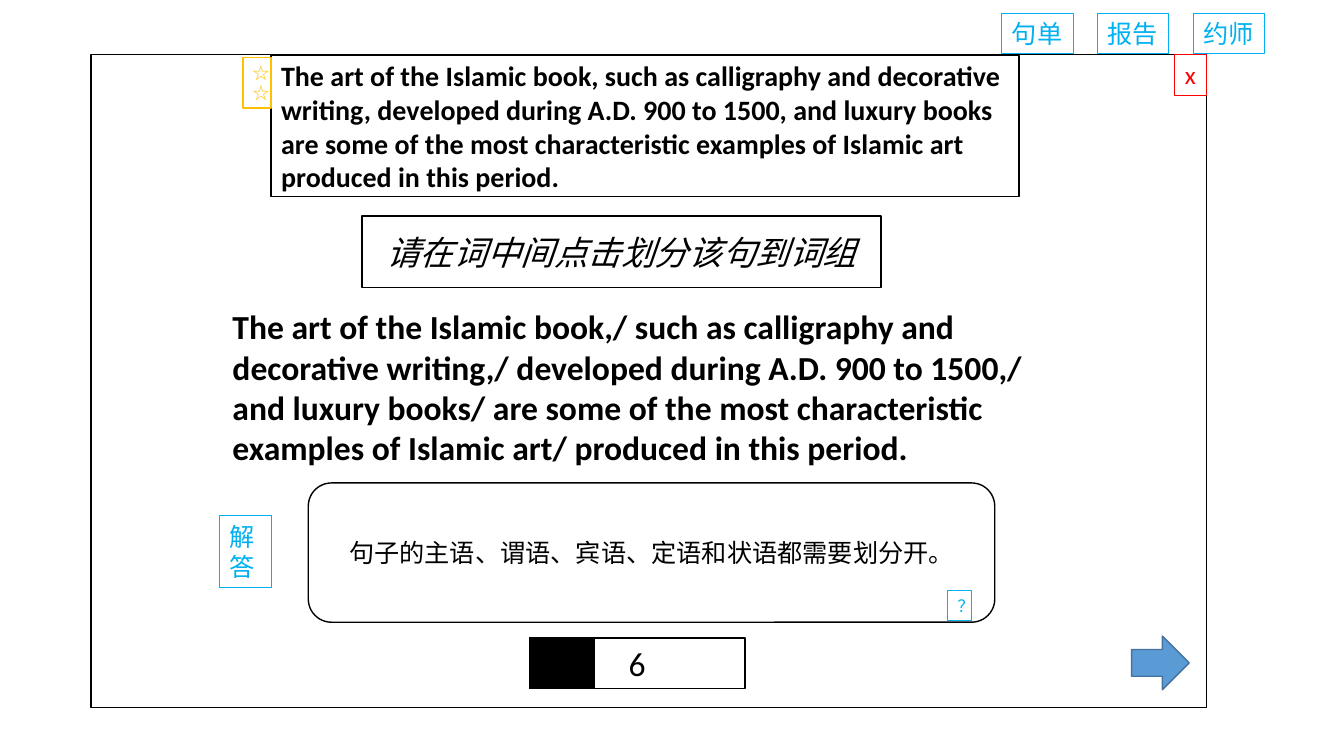
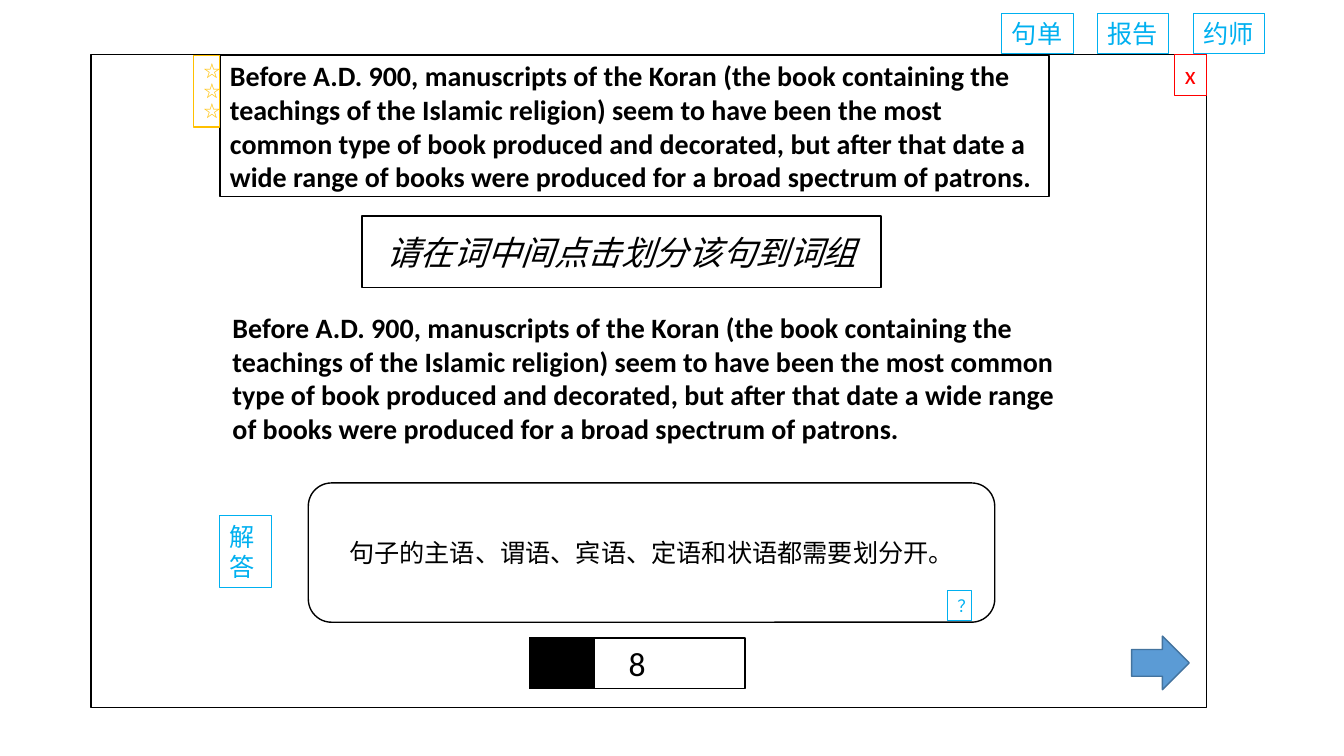
from dataclasses import dataclass

from lxml import etree
from pptx import Presentation
from pptx import util as u
from pptx.dml import color
from pptx.enum import shapes, text
from pptx.oxml import ns


@dataclass(frozen=True)
class Theme:
    black: str = "000000"
    white: str = "FFFFFF"
    link: str = "00B0F0"
    close: str = "FF0000"
    star: str = "FFC000"
    arrow: str = "5B9BD5"
    arrow_line: str = "43739E"
    font: str = "Calibri"
    star_font: str = "Noto Sans CJK SC"
    large: int = 24
    medium: int = 20
    normal: int = 18
    small: int = 12
    thin: float = 0.75
    solid: float = 1


@dataclass(frozen=True)
class Box:
    x: float
    y: float
    w: float
    h: float

    def inside(self, x, y, w, h):
        return Box(self.x + x, self.y + y, w, h)

    def lengths(self):
        return [u.Cm(v) for v in (self.x, self.y, self.w, self.h)]


@dataclass(frozen=True)
class Exercise:
    sentence: str
    divided: str
    divided_size: int
    divided_y: float
    sentence_x: float
    sentence_w: float
    stars: int
    stars_size: tuple
    stars_y: float
    number: str


T = Theme()
FRAME = Box(2.29, 1.37, 28.12, 16.46)
TABS = ("句单", "报告", "约师")
LEFT, CENTER = text.PP_ALIGN.LEFT, text.PP_ALIGN.CENTER
TOP, MIDDLE = text.MSO_ANCHOR.TOP, text.MSO_ANCHOR.MIDDLE
KORAN = (
    "Before A.D. 900, manuscripts of the Koran (the book containing the teachings "
    "of the Islamic religion) seem to have been the most common type of book "
    "produced and decorated, but after that date a wide range of books were "
    "produced for a broad spectrum of patrons."
)
EXERCISES = (
    Exercise(
        sentence="The art of the Islamic book, such as calligraphy and decorative "
        "writing, developed during A.D. 900 to 1500, and luxury books are some of the "
        "most characteristic examples of Islamic art produced in this period.",
        divided="The art of the Islamic book,/ such as calligraphy and decorative "
        "writing,/ developed during A.D. 900 to 1500,/ and luxury books/ are some of "
        "the most characteristic examples of Islamic art/ produced in this period.",
        divided_size=T.large, divided_y=6.22, sentence_x=4.54, sentence_w=18.85,
        stars=2, stars_size=(0.71, 1.27), stars_y=0.08, number="6",
    ),
    Exercise(
        sentence=KORAN, divided=KORAN,
        divided_size=T.medium, divided_y=6.33, sentence_x=3.25, sentence_w=20.9,
        stars=3, stars_size=(0.66, 1.8), stars_y=0.03, number="8",
    ),
)


def rgb(value):
    return color.RGBColor.from_string(value)


def write(sp, content, size=T.normal, ink=T.black, font=T.font, bold=False,
          italic=False, align=LEFT, anchor=TOP, wrap=True, grow=True, spacing=None):
    tf = sp.text_frame
    tf.text = content
    tf.word_wrap = wrap
    tf.vertical_anchor = anchor
    fit = text.MSO_AUTO_SIZE
    tf.auto_size = fit.SHAPE_TO_FIT_TEXT if grow else fit.NONE
    for p in tf.paragraphs:
        p.alignment = align
        if spacing:
            p.line_spacing = u.Pt(spacing)
        for r in p.runs:
            r.font.size = u.Pt(size)
            r.font.name = font
            r.font.bold = bold
            r.font.italic = italic
            r.font.color.rgb = rgb(ink)
            ea = etree.SubElement(r.font._element, ns.qn("a:ea"))
            ea.set("typeface", font)


def paint(sp, fill=None, line=T.black, width=T.solid):
    if fill:
        sp.fill.solid()
        sp.fill.fore_color.rgb = rgb(fill)
    else:
        sp.fill.background()
    sp.line.color.rgb = rgb(line)
    sp.line.width = u.Pt(width)


def shape(slide, box, kind=shapes.MSO_SHAPE.RECTANGLE, **look):
    sp = slide.shapes.add_shape(kind, *box.lengths())
    sp.shadow.inherit = False
    paint(sp, **look)
    return sp


def button(slide, box, label, ink=T.link, **fmt):
    sp = shape(slide, box, line=ink, width=T.thin)
    write(sp, label, ink=ink, **fmt)


def draw_tabs(slide, frame):
    for i, label in enumerate(TABS):
        button(slide, frame.inside(22.96 + 2.41 * i, -1.04, 1.8, 1.03), label, wrap=False)


def draw_frame(slide, frame):
    shape(slide, frame, fill=T.white)
    button(slide, frame.inside(frame.w - 0.8, 0, 0.8, 1.03), "x", ink=T.close, wrap=False)


def draw_sentence(slide, frame, ex):
    box = frame.inside(ex.sentence_x, 0.03, ex.sentence_w, 3.56)
    title = slide.shapes.title
    title.left, title.top, title.width, title.height = box.lengths()
    paint(title, fill=T.white)
    write(title, ex.sentence, size=T.medium, bold=True, anchor=MIDDLE, grow=False)
    slide.shapes._spTree.append(title._element)
    w, h = ex.stars_size
    sp = shape(slide, frame.inside(ex.sentence_x - w, ex.stars_y, w, h),
               fill=T.white, line=T.star)
    write(sp, "☆" * ex.stars, size=T.small, ink=T.star, font=T.star_font,
          align=CENTER, spacing=14.4)


def draw_task(slide, frame, ex):
    sp = shape(slide, frame.inside(6.83, 4.07, 13.08, 1.8), fill=T.white)
    write(sp, "请在词中间点击划分该句到词组", size=T.large, italic=True,
          align=CENTER, anchor=MIDDLE, grow=False)
    height = 4.37 if ex.divided_size == T.large else 3.68
    box = frame.inside(3.32, ex.divided_y, 21.44, height)
    sp = slide.shapes.add_textbox(*box.lengths())
    write(sp, ex.divided, size=ex.divided_size, bold=True)


def draw_hint(slide, frame):
    button(slide, frame.inside(3.25, 11.63, 1.3, 1.8), "解\n答")
    box = frame.inside(5.48, 10.8, 17.3, 3.51)
    sp = shape(slide, box, shapes.MSO_SHAPE.ROUNDED_RECTANGLE, fill=T.white)
    write(sp, "句子的主语、谓语、宾语、定语和状语都需要划分开。",
          align=CENTER, anchor=MIDDLE, grow=False)
    button(slide, box.inside(16.11, 2.71, 0.61, 0.76), "？", size=T.small)


def draw_progress(slide, frame, ex):
    box = frame.inside(11.05, 14.71, 5.44, 1.27)
    sp = shape(slide, box, fill=T.white)
    write(sp, ex.number, size=T.large, align=CENTER)
    shape(slide, box.inside(0, 0, 1.65, box.h), fill=T.black)
    shape(slide, frame.inside(26.23, 14.66, 1.45, 1.35),
          shapes.MSO_SHAPE.RIGHT_ARROW, fill=T.arrow, line=T.arrow_line)


def draw_exercise(prs, frame, ex):
    slide = prs.slides.add_slide(prs.slide_layouts.get_by_name("Title Only"))
    draw_tabs(slide, frame)
    draw_frame(slide, frame)
    draw_sentence(slide, frame, ex)
    draw_task(slide, frame, ex)
    draw_hint(slide, frame)
    draw_progress(slide, frame, ex)


def main():
    prs = Presentation()
    prs.slide_width, prs.slide_height = u.Cm(33.87), u.Cm(19.05)
    for ex in EXERCISES:
        draw_exercise(prs, FRAME, ex)
    prs.save("out.pptx")


if __name__ == "__main__":
    main()
